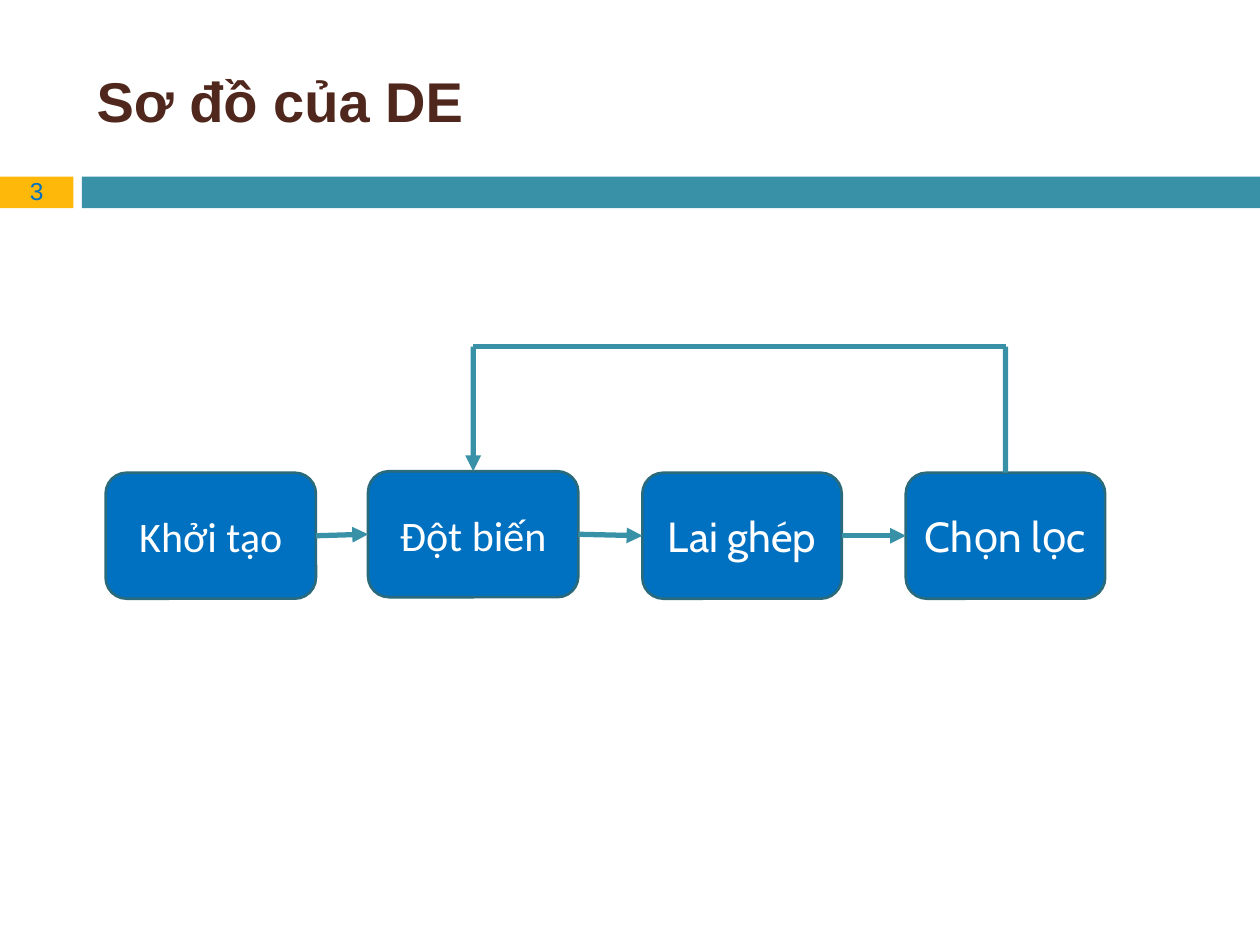
from lxml import etree
from pptx import Presentation
from pptx.dml.color import RGBColor
from pptx.enum.shapes import MSO_CONNECTOR, MSO_SHAPE
from pptx.enum.text import MSO_ANCHOR, PP_ALIGN
from pptx.oxml.ns import qn
from pptx.util import Cm, Pt

RECT = MSO_SHAPE.RECTANGLE
ROUND = MSO_SHAPE.ROUNDED_RECTANGLE
LINE = MSO_CONNECTOR.STRAIGHT
MIDDLE = MSO_ANCHOR.MIDDLE
LEFT, CENTER = PP_ALIGN.LEFT, PP_ALIGN.CENTER

TEAL = RGBColor(0x38, 0x91, 0xA7)
EDGE = RGBColor(0x29, 0x6B, 0x7C)
GOLD = RGBColor(0xFE, 0xB8, 0x0A)
BLUE = RGBColor(0x00, 0x70, 0xC0)
BROWN = RGBColor(0x4F, 0x27, 0x1C)
WHITE = RGBColor(0xFF, 0xFF, 0xFF)

TOP, LOOP = 9.53, 6.99
TOP_SIDE, LEFT_SIDE, RIGHT_SIDE = 0, 1, 3


def write(shape, text, size, font, color, align=CENTER, bold=False):
    frame = shape.text_frame
    frame.word_wrap = True
    frame.text = text
    para = frame.paragraphs[0]
    para.alignment = align
    run = para.runs[0]
    run.font.size = Pt(size)
    run.font.name = font
    run.font.bold = bold
    run.font.color.rgb = color


def link(x1, y1, x2, y2, arrow=True):
    wire = slide.shapes.add_connector(LINE, Cm(x1), Cm(y1), Cm(x2), Cm(y2))
    wire.line.color.rgb = TEAL
    wire.line.width = Pt(3)
    if arrow:
        ln = wire.line._get_or_add_ln()
        etree.SubElement(ln, qn("a:tailEnd"), type="triangle")
    etree.SubElement(wire._element.spPr, qn("a:effectLst"))
    return wire


deck = Presentation()
deck.slide_width, deck.slide_height = Cm(25.4), Cm(19.05)
slide = deck.slides.add_slide(deck.slide_layouts[6])

# Header band
for left, width, color in ((0, 1.48, GOLD), (1.65, 23.75, TEAL)):
    band = slide.shapes.add_shape(RECT, Cm(left), Cm(3.56), Cm(width), Cm(0.64))
    band.shadow.inherit = False
    band.fill.solid()
    band.fill.fore_color.rgb = color
    band.line.fill.background()

# Slide number
number = slide.shapes.add_textbox(Cm(0), Cm(3.43), Cm(1.48), Cm(0.86))
write(number, "3", 14, "Arial", BLUE)

# Title
title = slide.shapes.add_textbox(Cm(1.7), Cm(0.64), Cm(22.66), Cm(2.74))
title.text_frame.vertical_anchor = MIDDLE
write(title, "Sơ đồ của DE", 32, "Arial", BROWN, LEFT, True)

# Steps: text, left, top, width, font
steps = (
    ("Khởi tạo", 2.13, TOP, 4.24, "Calibri"),
    ("Đột biến", 7.42, TOP - 0.03, 4.24, "Calibri"),
    ("Lai ghép", 12.95, TOP, 4.02, "Cabin"),
    ("Chọn lọc", 18.26, TOP, 4.02, "Cabin"),
)
boxes = []
for text, left, top, width, font in steps:
    box = slide.shapes.add_shape(ROUND, Cm(left), Cm(top), Cm(width), Cm(2.54))
    box.shadow.inherit = False
    box.fill.solid()
    box.fill.fore_color.rgb = BLUE
    box.line.color.rgb = EDGE
    box.line.width = Pt(1.5)
    box.text_frame.vertical_anchor = MIDDLE
    write(box, text, 24, font, WHITE)
    boxes.append(box)

# Arrows from each step to the next
for start, end in zip(boxes, boxes[1:]):
    wire = link(0, 0, 1, 1)
    wire.begin_connect(start, RIGHT_SIDE)
    wire.end_connect(end, LEFT_SIDE)

# Loop from the last step back to the second
back, front = (left + width / 2 for _, left, _, width, _ in (steps[1], steps[3]))
rise = link(front, TOP, front, LOOP, arrow=False)
rise.begin_connect(boxes[3], TOP_SIDE)
link(front, LOOP, back, LOOP, arrow=False)
drop = link(back, LOOP, back, TOP)
drop.end_connect(boxes[1], TOP_SIDE)

deck.save("out.pptx")
